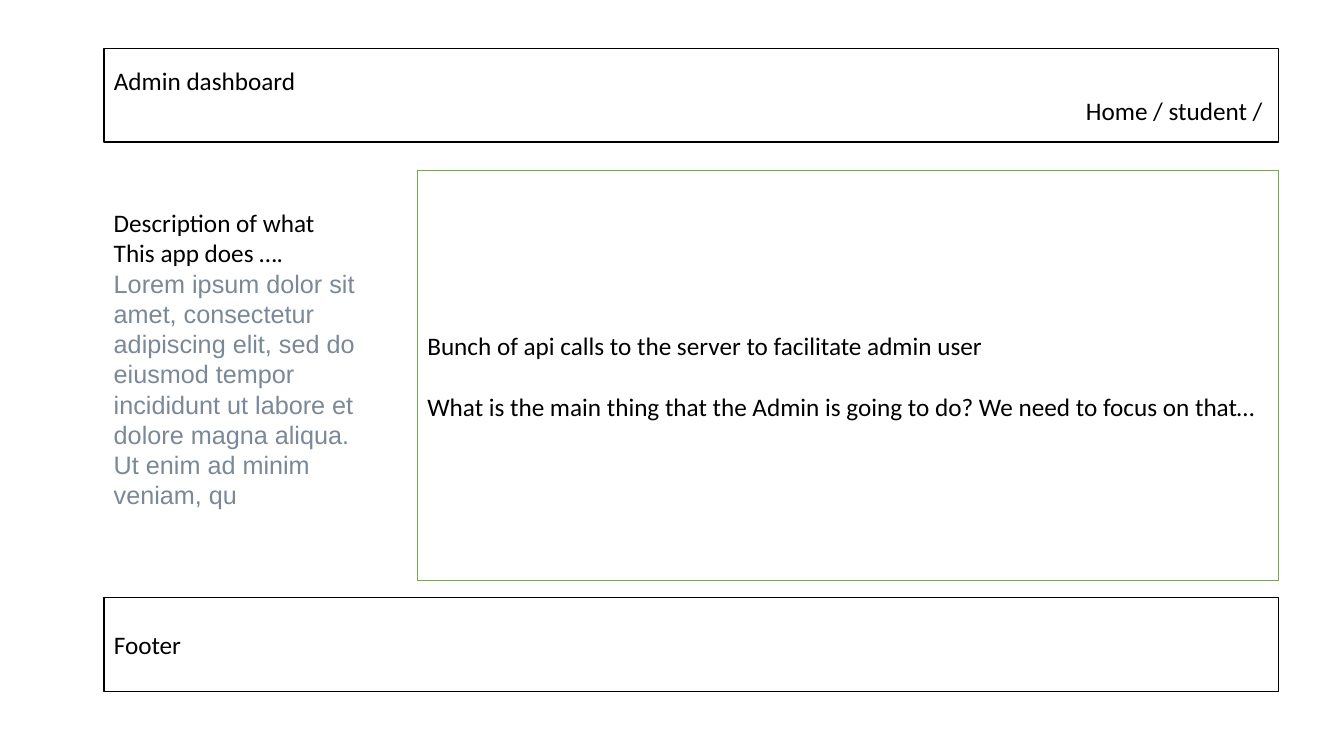
from pptx import Presentation
from pptx.dml.color import RGBColor
from pptx.enum.shapes import MSO_SHAPE as Shape
from pptx.enum.text import MSO_ANCHOR as Anchor, MSO_AUTO_SIZE as AutoSize, PP_ALIGN as Align
from pptx.util import Inches, Pt

BLACK = RGBColor(0x00, 0x00, 0x00)
WHITE = RGBColor(0xFF, 0xFF, 0xFF)
GREEN = RGBColor(0x70, 0xAD, 0x47)
SLATE = RGBColor(0x7B, 0x88, 0x98)

WIDTH, HEIGHT = 13.33, 7.5
LEFT, RIGHT = 1.03, 12.68
CONTENT_LEFT = 4.14
BAND_HEIGHT = 0.93
BODY = {"size": Pt(18), "name": "Calibri"}
LOREM = (
    "Lorem ipsum dolor sit amet, consectetur adipiscing elit, sed do eiusmod "
    "tempor incididunt ut labore et dolore magna aliqua. Ut enim ad minim veniam, qu"
)


def apply_format(target, values):
    for name, value in values.items():
        setattr(target, name, value)


def place(box, left, top, width, height):
    lengths = {"left": left, "top": top, "width": width, "height": height}
    apply_format(box, {name: Inches(value) for name, value in lengths.items()})


def write(frame, lines, anchor=Anchor.MIDDLE, auto_size=AutoSize.NONE):
    apply_format(frame, {"word_wrap": True, "auto_size": auto_size, "vertical_anchor": anchor})
    for index, (text, layout, font, color) in enumerate(lines):
        para = frame.add_paragraph() if index else frame.paragraphs[0]
        apply_format(para, {"alignment": Align.LEFT, **layout})
        span = para.add_run()
        span.text = text
        apply_format(span.font, {**BODY, **font})
        span.font.color.rgb = color


def line_of(text, layout=None, font=None, color=BLACK):
    return text, layout or {}, font or {}, color


def outline(box, color):
    box.fill.solid()
    box.fill.fore_color.rgb = WHITE
    box.line.color.rgb = color
    box.line.width = Pt(1)


def add_panel(page, left, top, height, color, lines):
    box = page.shapes.add_shape(Shape.RECTANGLE, 0, 0, 0, 0)
    place(box, left, top, RIGHT - left, height)
    box.shadow.inherit = False
    outline(box, color)
    write(box.text_frame, lines)


def add_header(page, top, lines):
    box = page.shapes.title
    place(box, LEFT, top, RIGHT - LEFT, BAND_HEIGHT)
    outline(box, BLACK)
    write(box.text_frame, lines)


def add_description(page, top, width, height, lines):
    box = page.shapes.add_textbox(0, 0, 0, 0)
    place(box, LEFT, top, width, height)
    write(box.text_frame, lines, Anchor.TOP, AutoSize.SHAPE_TO_FIT_TEXT)


def main():
    deck = Presentation()
    apply_format(deck, {"slide_width": Inches(WIDTH), "slide_height": Inches(HEIGHT)})
    page = deck.slides.add_slide(deck.slide_layouts.get_by_name("Title Only"))

    add_header(page, 0.48, [
        line_of("Admin dashboard"),
        line_of("Home / student / ", {"alignment": Align.RIGHT}),
    ])
    add_description(page, 2.01, 2.64, 3.43, [
        line_of("Description of what"),
        line_of("This app does …."),
        line_of(LOREM, font={"name": "Arial"}, color=SLATE),
    ])
    add_panel(page, LEFT, 5.93, BAND_HEIGHT, BLACK, [line_of("Footer")])
    add_panel(page, CONTENT_LEFT, 1.69, 4.07, GREEN, [
        line_of("Bunch of api calls to the server to facilitate admin user"),
        line_of(
            "What is the main thing that the Admin is going to do? We need to focus on that…",
            {"space_before": Pt(22)},
        ),
    ])
    deck.save("out.pptx")


if __name__ == "__main__":
    main()
